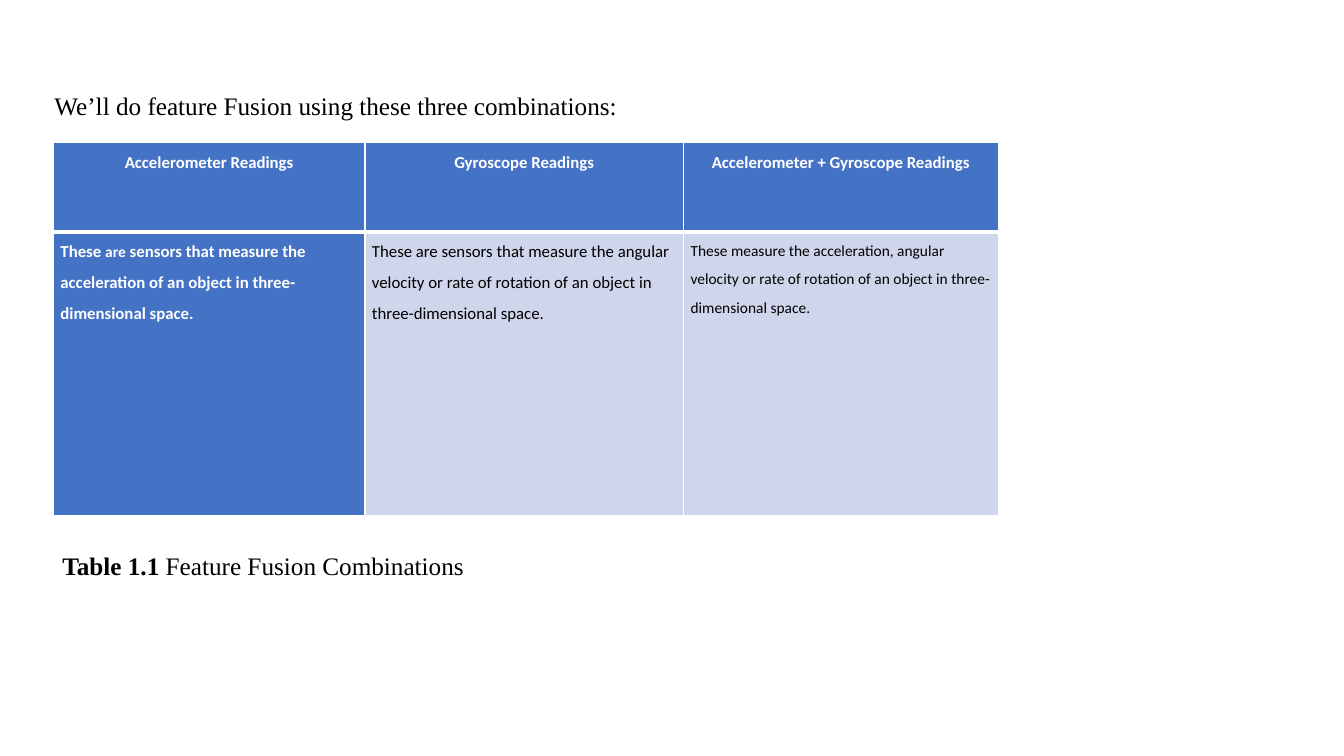
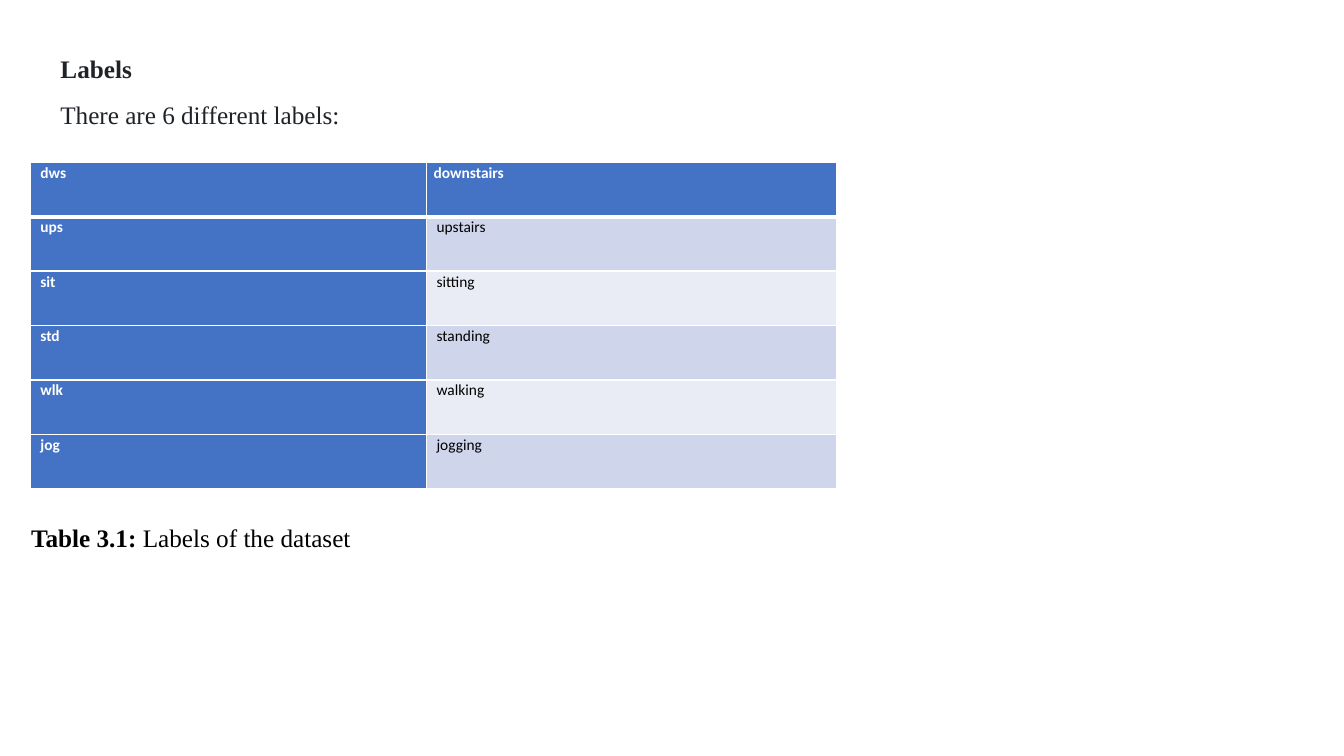
from lxml import etree
from pptx import Presentation
from pptx.dml.color import RGBColor
from pptx.enum.text import MSO_ANCHOR, PP_ALIGN
from pptx.oxml.ns import qn
from pptx.util import Inches, Pt

LEFT, CENTER = PP_ALIGN.LEFT, PP_ALIGN.CENTER
TOP = MSO_ANCHOR.TOP
TITLE_ONLY = 5
COLORS = {"blue": "4472C4", "dark": "CFD5EA", "light": "E9EBF5",
          "white": "FFFFFF", "black": "000000", "ink": "1F2328"}
SERIF, SANS = "Times New Roman", "Calibri"
INSET = 0.07

# Content: text runs are (text, size) in cells and (text, bold) elsewhere
FUSION = {
    "title": ("We’ll do feature Fusion using these three combinations:", False),
    "title_at": (0.44, 0.85), "ink": "black",
    "lead": None,
    "caption": [("Table 1.1 ", True), ("Feature Fusion Combinations", False)],
    "caption_at": (0.52, 5.41),
    "at": (0.53, 1.41), "cols": [3.09, 3.16, 3.12], "rows": [0.89, 2.82],
    "spacing": 1.5, "head": CENTER, "indent": 0,
    "cells": [
        [[("Accelerometer Readings", 12)],
         [("Gyroscope Readings", 12)],
         [("Accelerometer + Gyroscope Readings", 12)]],
        [[("These ", 12), ("are", 11),
          (" sensors that measure the acceleration of an object in "
           "three-dimensional space.", 12)],
         [("These", 12), (" ", 11),
          ("are sensors that measure the angular velocity or rate of "
           "rotation of an object in three-dimensional space.", 12)],
         [("These measure the acceleration, angular velocity or rate of "
           "rotation of an object in three-dimensional space.", 11)]],
    ],
}
NAMES = [("dws", "downstairs"), ("ups", "upstairs"), ("sit", "sitting"),
         ("std", "standing"), ("wlk", "walking"), ("jog", "jogging")]
LABELS = {
    "title": ("Labels", True),
    "title_at": (0.5, 0.48), "ink": "ink",
    "lead": ("There are 6 different labels:", False), "lead_at": (0.5, 0.94),
    "caption": [("Table 3.1: ", True), ("Labels of the dataset", False)],
    "caption_at": (0.21, 5.13),
    "at": (0.3, 1.61), "cols": [3.93, 4.07], "rows": [0.54] * len(NAMES),
    "spacing": 1.06, "head": LEFT, "indent": 0.03,
    "cells": [[[(word, 11)] for word in pair] for pair in NAMES],
}


def rgb(name):
    return RGBColor.from_string(COLORS[name])


def add_run(para, text, size, face, color, bold):
    run = para.add_run()
    run.text = text
    font = run.font
    font.size, font.name, font.bold = Pt(size), face, bold
    font.color.rgb = rgb(color)


def set_line(shape, at, runs, color):
    """Place one line of 18 point serif text."""
    shape.left, shape.top = Inches(at[0]), Inches(at[1])
    shape.width, shape.height = Inches(6.67), Inches(0.4)
    frame = shape.text_frame
    frame.word_wrap = True
    frame.vertical_anchor = TOP
    para = frame.paragraphs[0]
    para.alignment = LEFT
    for text, bold in runs:
        add_run(para, text, 18, SERIF, color, bold)


def add_line(slide, at, runs, color):
    set_line(slide.shapes.add_textbox(0, 0, 0, 0), at, runs, color)


def set_edges(cell, row):
    """White cell borders, with a thick one under the header."""
    props = cell._tc.get_or_add_tcPr()
    widths = {"L": 1, "R": 1, "T": 3 if row == 1 else 1,
              "B": 3 if row == 0 else 1}
    for side, width in widths.items():
        edge = etree.SubElement(props, qn("a:ln" + side), w=str(Pt(width)))
        fill = etree.SubElement(edge, qn("a:solidFill"))
        etree.SubElement(fill, qn("a:srgbClr"), val=COLORS["white"])


def fill_cell(cell, row, col, runs, data):
    strong = row == 0 or col == 0
    set_edges(cell, row)
    cell.fill.solid()
    cell.fill.fore_color.rgb = rgb(
        "blue" if strong else "dark" if row % 2 else "light")
    # The last header cell has no extra indent
    indent = 0 if (row, col) == (0, 1) else data["indent"]
    cell.margin_left = Inches(INSET + indent)
    cell.margin_right = Inches(INSET)
    cell.margin_top = cell.margin_bottom = 0
    para = cell.text_frame.paragraphs[0]
    para.alignment = data["head"] if row == 0 else LEFT
    para.line_spacing = data["spacing"]
    para.space_after = Pt(8)
    for text, size in runs:
        add_run(para, text, size, SANS, "white" if strong else "black", strong)


def add_grid(slide, data):
    cols, rows = data["cols"], data["rows"]
    box = [Inches(n) for n in (*data["at"], sum(cols), sum(rows))]
    table = slide.shapes.add_table(len(rows), len(cols), *box).table
    for col, width in zip(table.columns, cols):
        col.width = Inches(width)
    for row, height in zip(table.rows, rows):
        row.height = Inches(height)
    for r, line in enumerate(data["cells"]):
        for c, runs in enumerate(line):
            fill_cell(table.cell(r, c), r, c, runs, data)


def add_page(deck, data):
    slide = deck.slides.add_slide(deck.slide_layouts[TITLE_ONLY])
    set_line(slide.shapes.title, data["title_at"], [data["title"]], data["ink"])
    if data["lead"]:
        add_line(slide, data["lead_at"], [data["lead"]], data["ink"])
    add_grid(slide, data)
    add_line(slide, data["caption_at"], data["caption"], "black")


def main():
    deck = Presentation()
    deck.slide_width, deck.slide_height = Inches(13.33), Inches(7.5)
    for data in (FUSION, LABELS):
        add_page(deck, data)
    deck.save("out.pptx")


if __name__ == "__main__":
    main()
